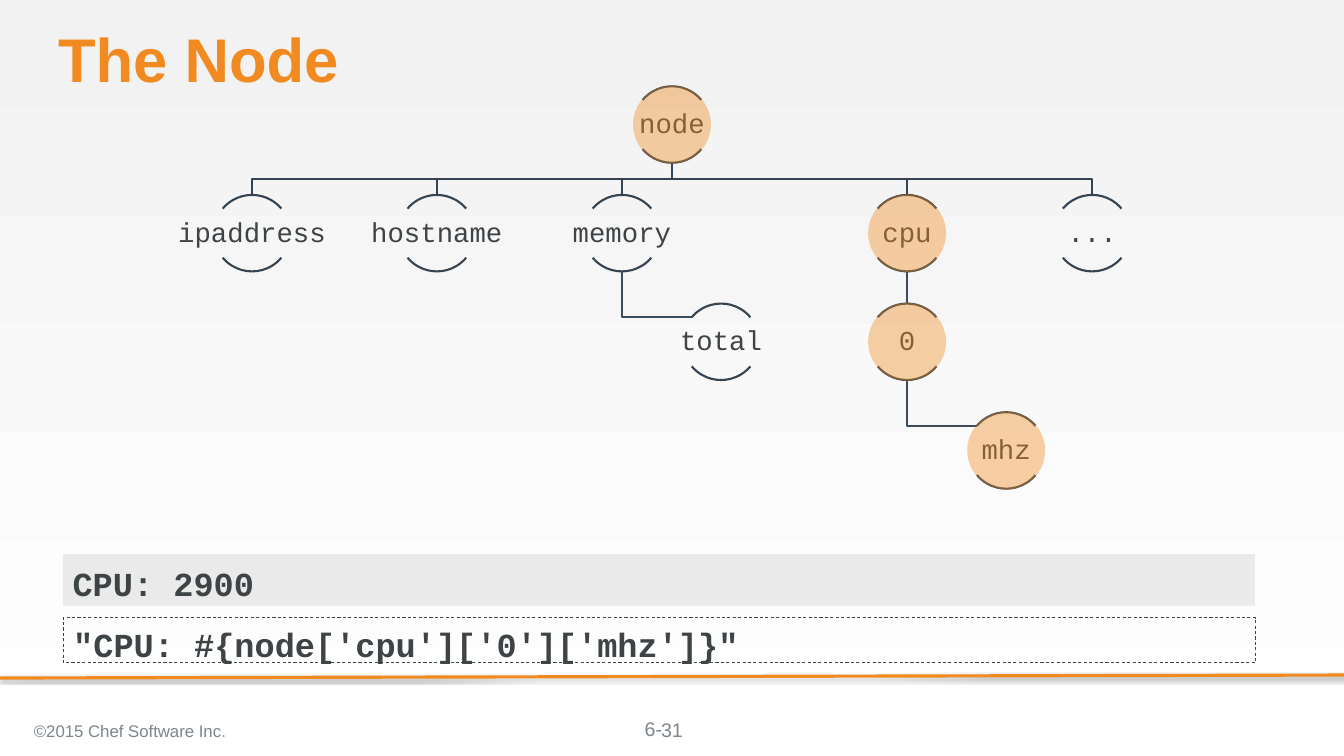
from lxml import etree
from pptx import Presentation
from pptx.dml.color import RGBColor
from pptx.enum import dml, shapes, text
from pptx.oxml import ns
from pptx.util import Cm, Pt

ORANGE = RGBColor(0xF1, 0x8B, 0x21)
INK = RGBColor(0x3E, 0x43, 0x46)
NAVY = RGBColor(0x36, 0x43, 0x50)
SLATE = RGBColor(0x3D, 0x4C, 0x5B)
GRAY = RGBColor(0x7D, 0x86, 0x8C)
DOT_GRAY = RGBColor(0x92, 0x94, 0x94)
PANEL = RGBColor(0xD9, 0xD9, 0xD9)
PALE = RGBColor(0xF2, 0xF2, 0xF2)
WHITE = RGBColor(0xFF, 0xFF, 0xFF)

# name: (centre x in cm, level, parent, on the highlighted route)
TREE = {
    "node": (22.58, 0, None, True),
    "ipaddress": (8.47, 1, "node", False),
    "hostname": (14.68, 1, "node", False),
    "memory": (20.9, 1, "node", False),
    "total": (24.23, 2, "memory", False),
    "cpu": (30.48, 1, "node", True),
    "0": (30.48, 2, "cpu", True),
    "mhz": (33.81, 3, "0", True),
    "...": (36.7, 1, "node", False),
}
TOP, STEP, DIAMETER, HALO = 2.9, 3.65, 2.57, 2.62
LABEL_W, LABEL_H = 5.13, 1.65
LABEL_DROP = (DIAMETER - LABEL_H) / 2
BUS_DROP = 0.55  # from a parent's foot to the shared horizontal line
HOOK = 0.97      # from a side child's centre to its connector's end
ARCS = [(132, 192), (24, 84)]

TITLE = [("The Node", 58.7, ORANGE, "Arial", True)]
OUTPUT = [("CPU: 2900", 32, INK, "Courier New", True)]
CODE = [("\"CPU: #{node['cpu']['0']['mhz']}\"", 32, INK, "Courier New", True)]
COPYRIGHT = [("©2015 Chef Software Inc", 16, GRAY, "Arial", False),
             (".", 16, DOT_GRAY, "Arial", False)]
CHAPTER = [("6-", 18.7, GRAY, "Arial", False)]
PAGE = [("31", 18.7, GRAY, "Arial", False)]

prs = Presentation()
prs.slide_width, prs.slide_height = Cm(45.16), Cm(25.4)
s = prs.slides.add_slide(prs.slide_layouts[6])


def write(sp, runs, align=text.PP_ALIGN.LEFT, anchor=text.MSO_ANCHOR.MIDDLE,
          margins=(0.25, 0.13, 0.25, 0.13), spacing=None):
    tf = sp.text_frame
    tf.word_wrap = True
    tf.vertical_anchor = anchor
    (tf.margin_left, tf.margin_top,
     tf.margin_right, tf.margin_bottom) = map(Cm, margins)
    p = tf.paragraphs[0]
    p.alignment = align
    if spacing:
        p.line_spacing = spacing
    for words, size, color, font, bold in runs:
        r = p.add_run()
        r.text = words
        r.font.size, r.font.name, r.font.bold = Pt(size), font, bold
        r.font.color.rgb = color


def add_text(x, y, w, h, runs, **options):
    write(s.shapes.add_textbox(Cm(x), Cm(y), Cm(w), Cm(h)), runs, **options)


def style(sp, fill=None, alpha=100, line=None, width=2):
    sp.shadow.inherit = False
    if fill is None:
        sp.fill.background()
    else:
        sp.fill.solid()
        sp.fill.fore_color.rgb = fill
        color = sp.fill._xPr.find(".//" + ns.qn("a:srgbClr"))
        etree.SubElement(color, ns.qn("a:alpha"), val=str(alpha * 1000))
    if line is None:
        sp.line.fill.background()
    else:
        sp.line.color.rgb = line
        sp.line.width = Pt(width)


def add_shape(kind, x, y, w, h, **look):
    sp = s.shapes.add_shape(kind, Cm(x), Cm(y), Cm(w), Cm(h))
    style(sp, **look)
    return sp


def level_top(level):
    return TOP + STEP * level


def add_branch(x, level, parent):
    """Draw the line from a parent's foot to its child."""
    px, parent_level = TREE[parent][:2]
    foot, head = level_top(parent_level) + DIAMETER, level_top(level)
    if parent == "node":
        bus = foot + BUS_DROP
        points = [(px, bus), (x, bus), (x, head)]
    elif x == px:
        points = [(x, head)]
    else:
        side = head + LABEL_DROP
        points = [(px, side), (x - HOOK, side)]
    pen = s.shapes.build_freeform(Cm(px), Cm(foot))
    pen.add_line_segments([(Cm(a), Cm(b)) for a, b in points], close=False)
    style(pen.convert_to_shape(), line=NAVY if parent == "node" else SLATE)


def add_footer_rule():
    rule = s.shapes.add_connector(shapes.MSO_CONNECTOR.STRAIGHT,
                                  Cm(45.16), Cm(22.68), Cm(0), Cm(22.78))
    rule.line.color.rgb = ORANGE
    rule.line.width = Pt(3)
    effects = etree.SubElement(rule._element.spPr, ns.qn("a:effectLst"))
    shadow = etree.SubElement(effects, ns.qn("a:outerShdw"), blurRad=str(Pt(3.1)),
                              dist=str(Pt(1.8)), dir="5400000", rotWithShape="0")
    color = etree.SubElement(shadow, ns.qn("a:srgbClr"), val="000000")
    etree.SubElement(color, ns.qn("a:alpha"), val="35000")


bg = s.background.fill
bg.gradient()
bg.gradient_angle = 270
for stop, color, position in zip(bg.gradient_stops, (PALE, WHITE), (0, 1)):
    stop.color.rgb = color
    stop.position = position

add_footer_rule()
add_text(21.56, 24.1, 2.03, 0.79, CHAPTER, margins=(0.1, 0, 0, 0),
         anchor=text.MSO_ANCHOR.TOP)

code = add_shape(shapes.MSO_SHAPE.RECTANGLE, 2.13, 20.75, 40.06, 1.52,
                 line=INK, width=0.75)
code.line.dash_style = dml.MSO_LINE.DASH
write(code, CODE, margins=(0.33, 0.28, 0, 0))

for x, level, parent, _ in TREE.values():
    if parent:
        add_branch(x, level, parent)

for name, (x, level, _, _) in TREE.items():
    top = level_top(level)
    for start, end in ARCS:
        arc = add_shape(shapes.MSO_SHAPE.ARC, x - DIAMETER / 2, top,
                        DIAMETER, DIAMETER, line=NAVY)
        arc.adjustments[0], arc.adjustments[1] = start, end
    add_text(x - LABEL_W / 2, top + LABEL_DROP, LABEL_W, LABEL_H,
             [(name, 26, INK, "Courier New", False)],
             align=text.PP_ALIGN.CENTER, margins=(0.05,) * 4, spacing=0.9)

for x, level, _, highlighted in TREE.values():
    if highlighted:
        inset = (HALO - DIAMETER) / 2
        add_shape(shapes.MSO_SHAPE.OVAL, x - HALO / 2, level_top(level) - inset,
                  HALO, HALO, fill=ORANGE, alpha=40)

output = add_shape(shapes.MSO_SHAPE.RECTANGLE, 2.11, 18.62, 40.06, 1.73,
                   fill=PANEL, alpha=50)
write(output, OUTPUT, margins=(0.33, 0.21, 0, 0))

add_text(0.89, 23.83, 15.77, 1.42, COPYRIGHT)
add_text(17.5, 23.83, 10.16, 1.35, PAGE, align=text.PP_ALIGN.CENTER)
add_text(1.7, 0.84, 41.48, 2.31, TITLE, anchor=text.MSO_ANCHOR.TOP, spacing=0.9)

prs.save("out.pptx")
